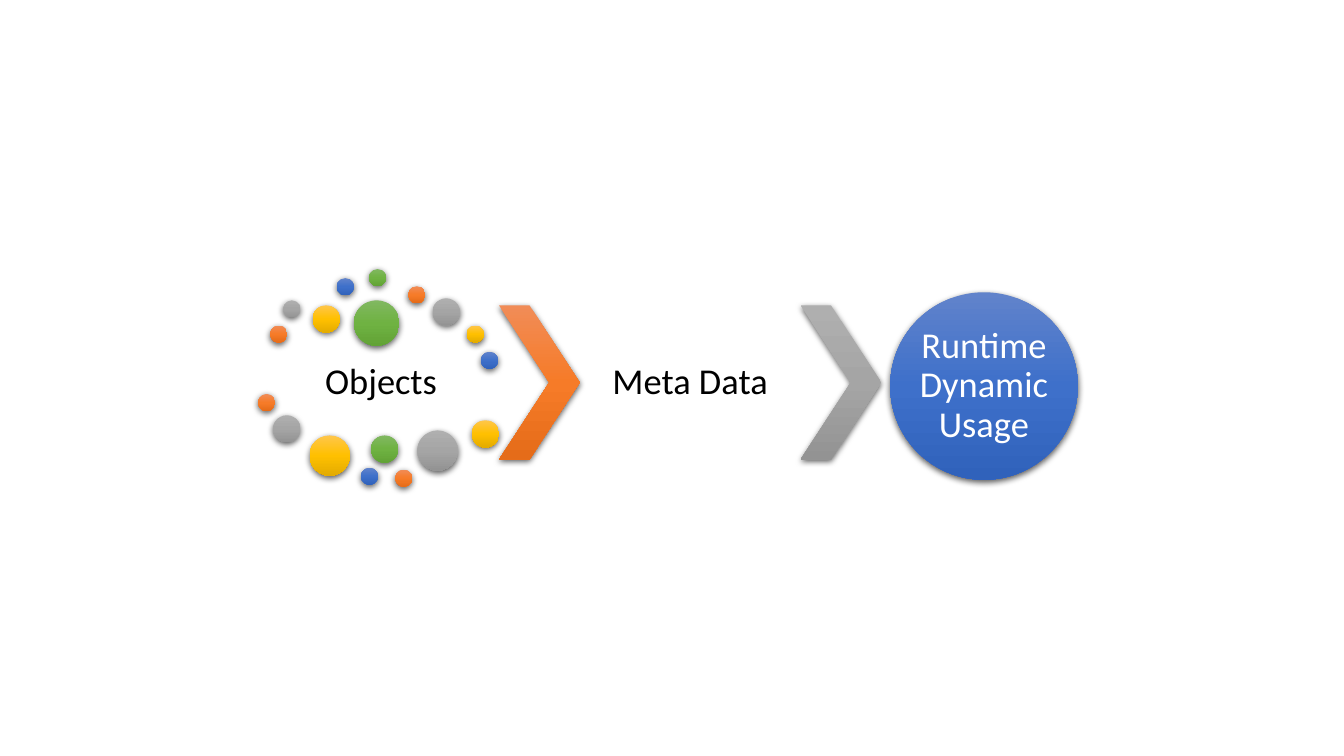
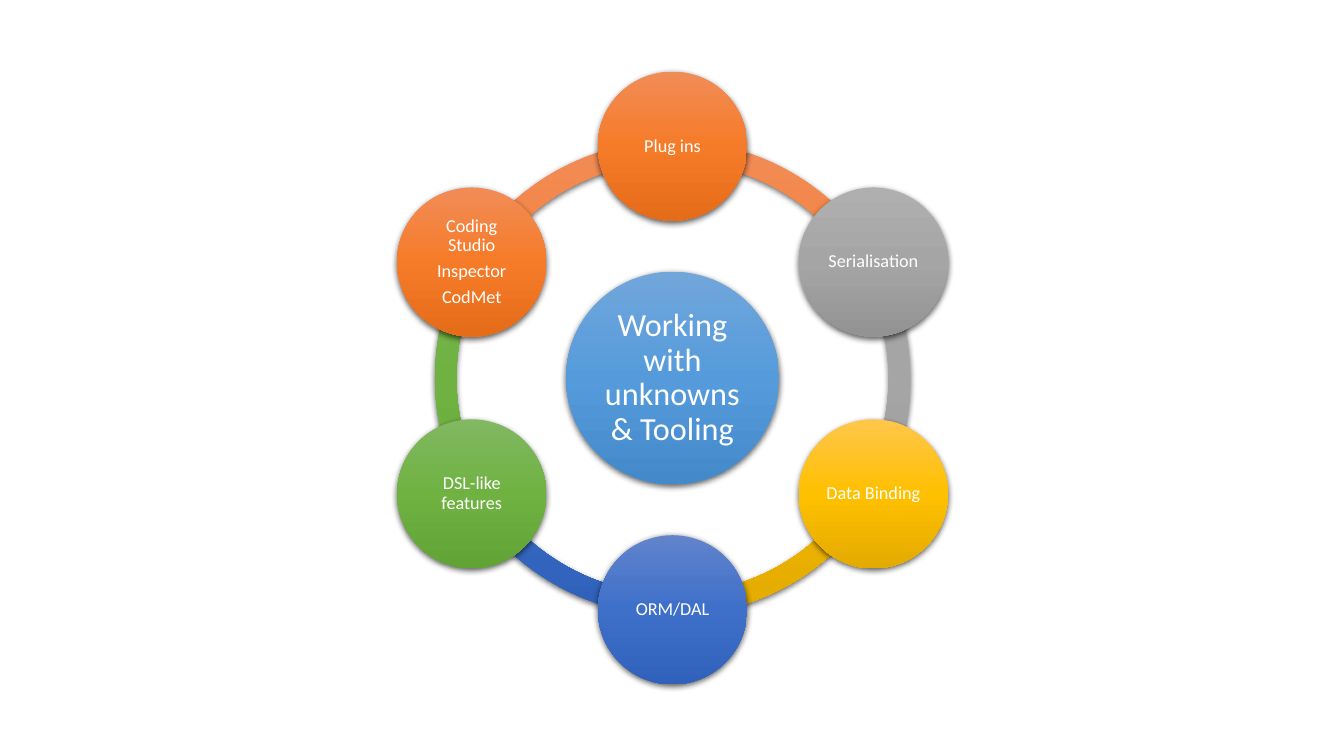
from itertools import cycle
from math import cos, radians, sin

from pptx import Presentation
from pptx.dml.color import RGBColor
from pptx.enum.shapes import MSO_SHAPE
from pptx.enum.text import MSO_ANCHOR, PP_ALIGN
from pptx.oxml import parse_xml
from pptx.oxml.ns import nsdecls
from pptx.util import Inches, Pt

FONT = "Calibri"
BLACK, WHITE = "000000", "FFFFFF"
ORANGE = ("F18C57", "F67B28", "E56C19")
GREY = ("AFAFAF", "A5A5A5", "939393")
GOLD = ("FFC64B", "FFC000", "E3AB00")
BLUE = ("6183CB", "3E70CA", "3062BB")
GREEN = ("81B861", "6FB242", "62A336")
SKY = ("71A6DB", "559BDB", "448ACA")

SMALL, MEDIUM, LARGE, LARGEST = 0.17, 0.27, 0.4, 0.45
DOTS = [
    (2.68, 3.23, SMALL), (2.81, 2.98, SMALL), (3.1, 3.03, MEDIUM),
    (3.34, 2.76, SMALL), (3.66, 2.67, SMALL), (4.05, 2.84, SMALL),
    (4.29, 2.96, MEDIUM), (4.63, 3.23, SMALL), (4.77, 3.49, SMALL),
    (3.51, 2.98, LARGEST), (2.56, 3.91, SMALL), (2.71, 4.12, MEDIUM),
    (3.07, 4.32, LARGE), (3.58, 4.64, SMALL), (3.68, 4.32, MEDIUM),
    (3.92, 4.66, SMALL), (4.14, 4.27, LARGE), (4.68, 4.17, MEDIUM),
]
DOT_COLORS = [ORANGE, GREY, GOLD, BLUE, GREEN]
LABELS = [("Objects", (2.69, 3.44, 2.18, 0.72)), ("Meta Data", (5.75, 3.03, 2.19, 1.53))]
CHEVRONS = [(4.95, ORANGE), (7.94, GREY)]
RESULT = "Runtime Dynamic Usage"

HUB = "Working with unknowns & Tooling"
TOPICS = [
    (["Plug ins"], ORANGE, ORANGE),
    (["Serialisation"], GREY, GREY),
    (["Data Binding"], GOLD, GOLD),
    (["ORM/DAL"], BLUE, BLUE),
    (["DSL-like features"], GREEN, GREEN),
    (["Coding Studio", "Inspector", "CodMet"], ORANGE, ORANGE),
]
CENTER_X, CENTER_Y = 6.67, 3.75
ORBIT, RING_SIZE, HUB_SIZE, TOPIC_SIZE = 2.3, 4.71, 2.11, 1.48


def rgb(color):
    return RGBColor.from_string(color)


def write(box, lines, size, color, inset):
    frame = box.text_frame
    frame.word_wrap = True
    frame.vertical_anchor = MSO_ANCHOR.MIDDLE
    frame.margin_left = frame.margin_right = Inches(inset)
    frame.margin_top = frame.margin_bottom = Inches(inset)
    for index, line in enumerate(lines):
        para = frame.add_paragraph() if index else frame.paragraphs[0]
        para.text = line
        para.alignment = PP_ALIGN.CENTER
        para.line_spacing = 0.9
        para.space_after = Pt(size * 0.35)
        para.font.name = FONT
        para.font.size = Pt(size)
        para.font.color.rgb = rgb(color)


def add_glossy(page, kind, place, colors, adjustments=()):
    shape = page.shapes.add_shape(kind, *map(Inches, place))
    for index, value in enumerate(adjustments):
        shape.adjustments[index] = value
    shape.line.fill.background()
    stops = "".join(
        f'<a:gs pos="{index * 50000}"><a:srgbClr val="{color}"/></a:gs>'
        for index, color in enumerate(colors))
    outline = shape.line.fill._xPr
    outline.addprevious(parse_xml(
        f'<a:gradFill {nsdecls("a")} rotWithShape="1"><a:gsLst>{stops}</a:gsLst>'
        '<a:lin ang="5400000" scaled="0"/></a:gradFill>'))
    outline.addnext(parse_xml(
        f'<a:effectLst {nsdecls("a")}><a:outerShdw blurRad="57150" dist="19050" '
        'dir="5400000" algn="ctr" rotWithShape="0"><a:srgbClr val="000000">'
        '<a:alpha val="63000"/></a:srgbClr></a:outerShdw></a:effectLst>'))
    return shape


def add_circle(page, center_x, center_y, size, colors):
    place = (center_x - size / 2, center_y - size / 2, size, size)
    return add_glossy(page, MSO_SHAPE.OVAL, place, colors)


def build_process(page):
    for (left, top, size), colors in zip(DOTS, cycle(DOT_COLORS)):
        add_glossy(page, MSO_SHAPE.OVAL, (left, top, size, size), colors)
    for left, colors in CHEVRONS:
        add_glossy(page, MSO_SHAPE.CHEVRON, (left, 3.03, 0.8, 1.53), colors, [0.623])
    for text, place in LABELS:
        write(page.shapes.add_textbox(*map(Inches, place)), [text], 26, BLACK, 0.04)
    write(add_circle(page, 9.76, 3.83, 1.86, BLUE), [RESULT], 26, WHITE, 0)


def build_cycle(page):
    step = 360 / len(TOPICS)
    ring = (CENTER_X - RING_SIZE / 2, CENTER_Y - RING_SIZE / 2, RING_SIZE, RING_SIZE)
    angles = [(270 + index * step) % 360 for index in range(len(TOPICS))]
    ring_colors = [arc_colors for _, _, arc_colors in TOPICS]
    for angle, colors in reversed(list(zip(angles, ring_colors))):
        end = (angle + step) % 360
        add_glossy(page, MSO_SHAPE.BLOCK_ARC, ring, colors, [angle * 0.6, end * 0.6, 0.045])
    write(add_circle(page, CENTER_X, CENTER_Y, HUB_SIZE, SKY), [HUB], 23, WHITE, 0.03)
    for angle, (lines, colors, _) in zip(angles, TOPICS):
        x = CENTER_X + ORBIT * cos(radians(angle))
        y = CENTER_Y + ORBIT * sin(radians(angle))
        write(add_circle(page, x, y, TOPIC_SIZE, colors), lines, 13, WHITE, 0.02)


deck = Presentation()
deck.slide_width, deck.slide_height = Inches(13.33), Inches(7.5)
for build in (build_process, build_cycle):
    build(deck.slides.add_slide(deck.slide_layouts[6]))
deck.save("out.pptx")
